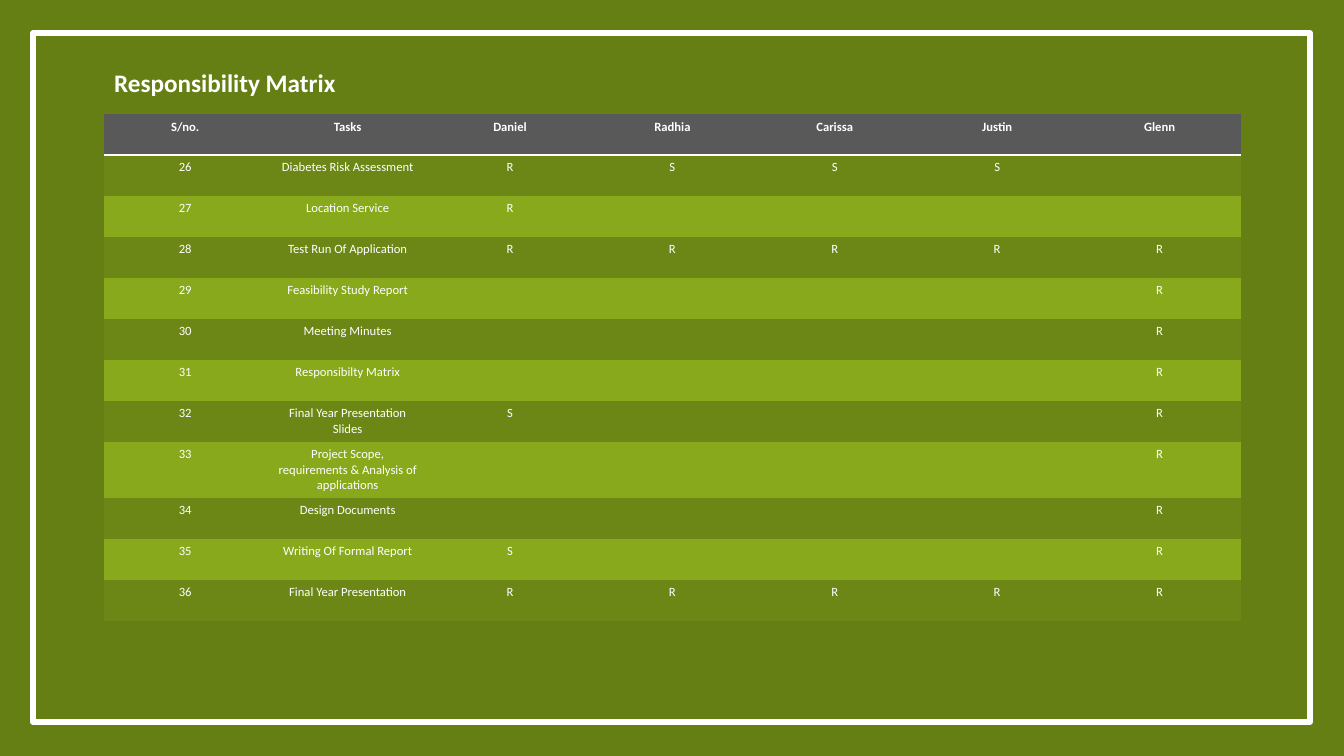
from lxml import etree
from pptx import Presentation
from pptx import util as u
from pptx.dml.color import RGBColor
from pptx.enum import shapes, text
from pptx.oxml import ns

PX = 914400 / 100.8
FONT = "Calibri"
WHITE = RGBColor(0xFF, 0xFF, 0xFF)
GREEN = RGBColor(0x65, 0x7F, 0x14)
GREY = RGBColor(0x59, 0x59, 0x59)
BANDS = (RGBColor(0x6C, 0x87, 0x16), RGBColor(0x87, 0xA9, 0x1B))
PLAIN_STYLE = "{2D5ABB26-0587-4C30-8999-92F81FD0307C}"

HEADINGS = ("S/no.", "Tasks", "Daniel", "Radhia", "Carissa", "Justin", "Glenn")
FIRST_NUMBER = 26
TASKS = (
    ("Diabetes Risk Assessment", "R", "S", "S", "S", ""),
    ("Location Service", "R", "", "", "", ""),
    ("Test Run Of Application", "R", "R", "R", "R", "R"),
    ("Feasibility Study Report", "", "", "", "", "R"),
    ("Meeting Minutes", "", "", "", "", "R"),
    ("Responsibilty Matrix", "", "", "", "", "R"),
    ("Final Year Presentation Slides", "S", "", "", "", "R"),
    ("Project Scope, requirements & Analysis of applications",
     "", "", "", "", "R"),
    ("Design Documents", "", "", "", "", "R"),
    ("Writing Of Formal Report", "S", "", "", "", "R"),
    ("Final Year Presentation", "R", "R", "R", "R", "R"),
)


def px(n):
    return u.Emu(round(n * PX))


def set_font(p, size, bold):
    p.font.name = FONT
    p.font.size = u.Pt(size)
    p.font.bold = bold
    p.font.color.rgb = WHITE


def add_frame(s, x, y, w, h):
    sp = s.shapes.add_shape(shapes.MSO_SHAPE.RECTANGLE,
                            px(x), px(y), px(w), px(h))
    sp.shadow.inherit = False
    sp.fill.background()
    sp.line.color.rgb = WHITE
    sp.line.width = u.Pt(4)


def place_title(s, x, y, w, h):
    sp = s.shapes.title
    sp.left, sp.top, sp.width, sp.height = px(x), px(y), px(w), px(h)
    tf = sp.text_frame
    tf.word_wrap = True
    tf.auto_size = text.MSO_AUTO_SIZE.SHAPE_TO_FIT_TEXT
    tf.vertical_anchor = text.MSO_ANCHOR.TOP
    p = tf.paragraphs[0]
    p.text = "Responsibility Matrix"
    p.alignment = text.PP_ALIGN.LEFT
    set_font(p, 18, True)


def rule_below(cell):
    tc_pr = cell._tc.get_or_add_tcPr()
    ln = etree.Element(ns.qn("a:lnB"), w=str(u.Pt(2)))
    fill = etree.SubElement(ln, ns.qn("a:solidFill"))
    etree.SubElement(fill, ns.qn("a:srgbClr"), val=str(WHITE))
    tc_pr.insert(0, ln)


def add_matrix(s, x, y, w, row_h):
    rows = [HEADINGS] + [(str(n), *task)
                         for n, task in enumerate(TASKS, FIRST_NUMBER)]
    table = s.shapes.add_table(len(rows), len(HEADINGS), px(x), px(y),
                               px(w), px(row_h * len(rows))).table
    table._tbl.tblPr.find(ns.qn("a:tableStyleId")).text = PLAIN_STYLE
    for i, row in enumerate(rows):
        header = i == 0
        for j, value in enumerate(row):
            cell = table.cell(i, j)
            cell.fill.solid()
            cell.fill.fore_color.rgb = GREY if header else BANDS[(i - 1) % 2]
            p = cell.text_frame.paragraphs[0]
            p.text = value
            p.alignment = text.PP_ALIGN.CENTER
            set_font(p, 9, header)
            if header:
                rule_below(cell)


def build_slide(prs):
    s = prs.slides.add_slide(prs.slide_layouts[5])
    s.background.fill.solid()
    s.background.fill.fore_color.rgb = GREEN
    add_frame(s, 33, 33, 1277, 689)
    place_title(s, 104, 62, 348, 40)
    add_matrix(s, 104, 114, 1137, 41)


def main():
    prs = Presentation()
    prs.slide_width, prs.slide_height = px(1344), px(756)
    build_slide(prs)
    prs.save("out.pptx")


if __name__ == "__main__":
    main()
